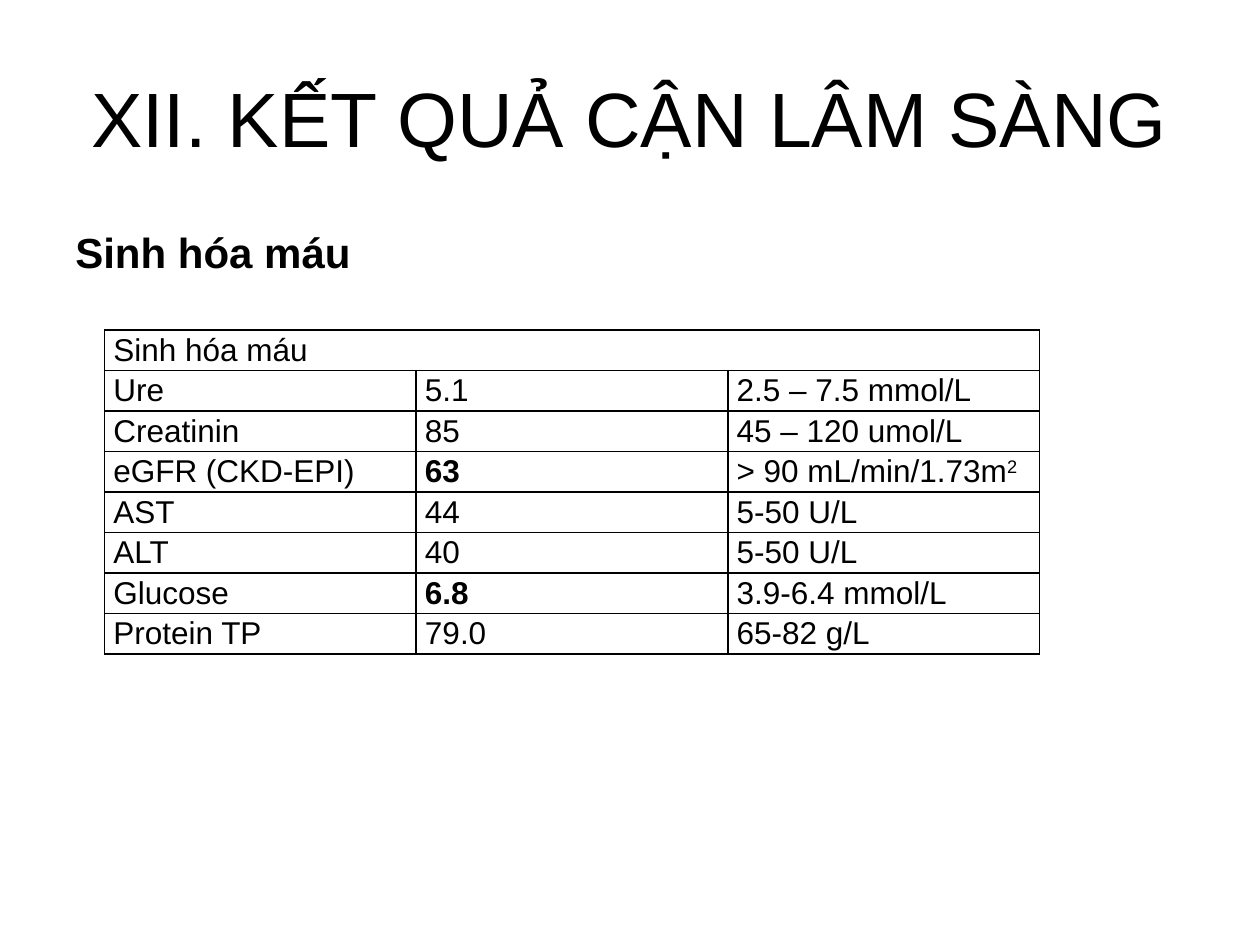
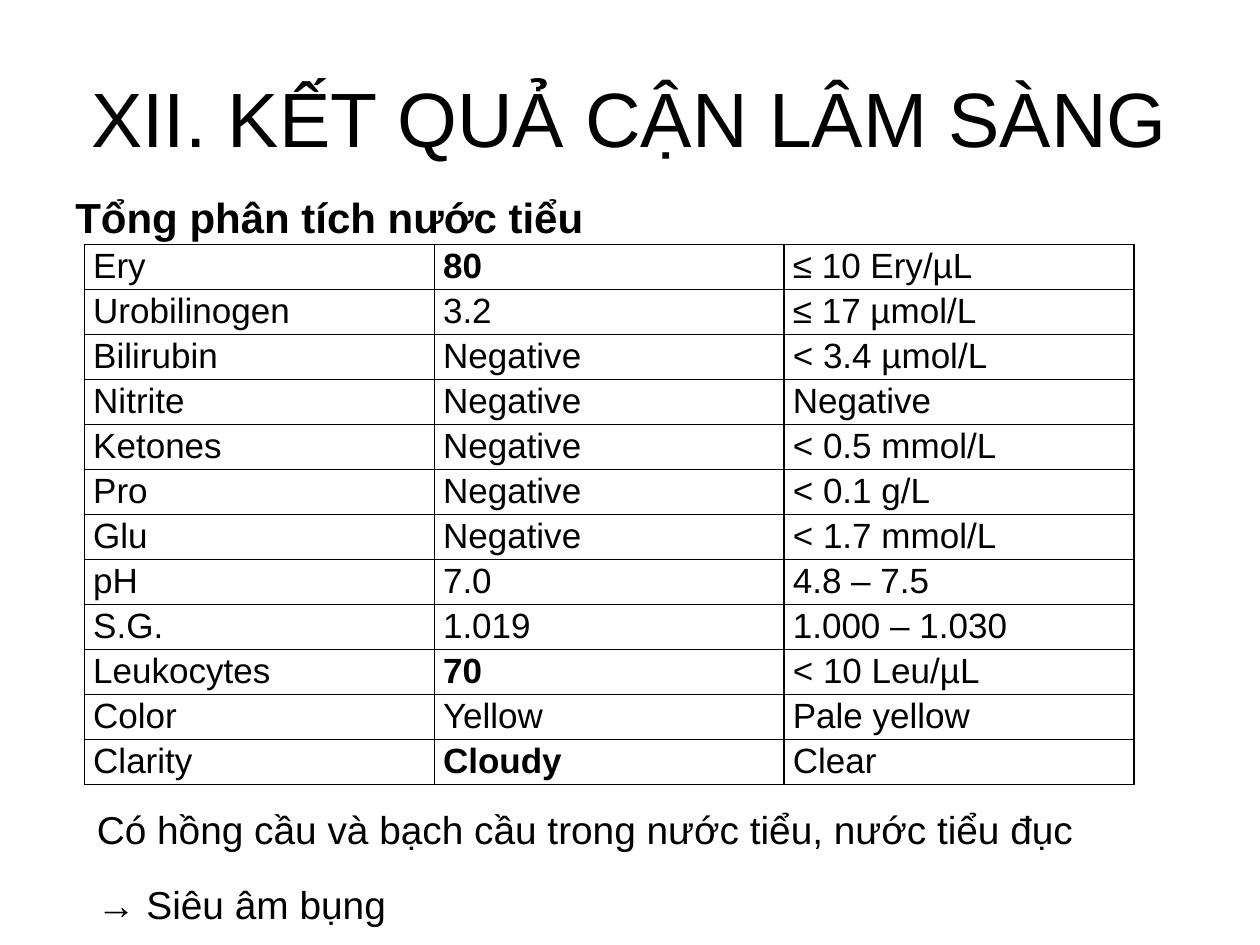
from dataclasses import dataclass
from lxml.etree import SubElement
from pptx import Presentation
from pptx.dml.color import RGBColor
from pptx.enum.text import MSO_ANCHOR, PP_ALIGN
from pptx.oxml.ns import qn
from pptx.util import Inches, Pt


@dataclass(frozen=True)
class Theme:
    font: str = "Arial"
    ink: str = "000000"
    paper: str = "FFFFFF"
    title: float = 44
    heading: float = 24
    note: float = 22.2
    border: float = 1
    columns: int = 40
    rows: int = 30


THEME = Theme()
TITLE = "XII. KẾT QUẢ CẬN LÂM SÀNG"
BLOOD = [
    ("Sinh hóa máu",),
    ("Ure", "5.1", "2.5 – 7.5 mmol/L"),
    ("Creatinin", "85", "45 – 120 umol/L"),
    ("eGFR (CKD-EPI)", "*63", "> 90 mL/min/1.73m^2"),
    ("AST", "44", "5-50 U/L"),
    ("ALT", "40", "5-50 U/L"),
    ("Glucose", "*6.8", "3.9-6.4 mmol/L"),
    ("Protein TP", "79.0", "65-82 g/L"),
]
URINE = [
    ("Ery", "*80", "≤ 10 Ery/µL"),
    ("Urobilinogen", "3.2", "≤ 17 µmol/L"),
    ("Bilirubin", "Negative", "< 3.4 µmol/L"),
    ("Nitrite", "Negative", "Negative"),
    ("Ketones", "Negative", "< 0.5 mmol/L"),
    ("Pro", "Negative", "< 0.1 g/L"),
    ("Glu", "Negative", "< 1.7 mmol/L"),
    ("pH", "7.0", "4.8 – 7.5"),
    ("S.G.", "1.019", "1.000 – 1.030"),
    ("Leukocytes", "*70", "< 10 Leu/µL"),
    ("Color", "Yellow", "Pale yellow"),
    ("Clarity", "*Cloudy", "Clear"),
]
NOTES = ["Có hồng cầu và bạch cầu trong nước tiểu, nước tiểu đục", "→ Siêu âm bụng"]


def write(frame, text, size, bold=False, align=PP_ALIGN.LEFT, spacing=1, before=0, after=0):
    for index, line in enumerate(text.split("\n")):
        para = frame.add_paragraph() if index else frame.paragraphs[0]
        para.alignment = align
        para.line_spacing = spacing
        para.space_before = Pt(before if index else 0)
        para.space_after = Pt(after)
        for level, part in enumerate(line.lstrip("*").split("^")):
            span = para.add_run()
            span.text = part
            span.font.name = THEME.font
            span.font.size = Pt(size)
            span.font.bold = bold or line.startswith("*")
            span.font.color.rgb = RGBColor.from_string(THEME.ink)
            if level:
                span.font._element.set("baseline", "30000")


class Report:
    def __init__(self, theme):
        self.theme = theme
        self.deck = Presentation()
        self.deck.slide_width = Inches(10)
        self.deck.slide_height = Inches(7.5)
        self.page = None

    def across(self, columns):
        return round(self.deck.slide_width * columns / self.theme.columns)

    def down(self, rows):
        return round(self.deck.slide_height * rows / self.theme.rows)

    def area(self, left, top, width, height):
        return self.across(left), self.down(top), self.across(width), self.down(height)

    def start_page(self):
        self.page = self.deck.slides.add_slide(self.deck.slide_layouts[6])
        fill = self.page.background.fill
        fill.solid()
        fill.fore_color.rgb = RGBColor.from_string(self.theme.paper)
        self.text(TITLE, (2, 1.2, 36, 5), anchor=MSO_ANCHOR.MIDDLE,
                  size=self.theme.title, align=PP_ALIGN.CENTER)

    def text(self, text, area, anchor=MSO_ANCHOR.TOP, **style):
        frame = self.page.shapes.add_textbox(*self.area(*area)).text_frame
        frame.word_wrap = True
        frame.vertical_anchor = anchor
        write(frame, text, **style)

    def heading(self, text, top, height):
        self.text(text, (2, top, 36, height), size=self.theme.heading, bold=True)

    def results(self, records, left, top, width, row_height, size):
        area = self.area(left, top, width, row_height * len(records))
        table = self.page.shapes.add_table(len(records), 3, *area).table
        table.first_row = table.horz_banding = False
        for column in table.columns:
            column.width = self.across(width / 3)
        for index, record in enumerate(records):
            table.rows[index].height = self.down(row_height)
            if len(record) == 1:
                table.cell(index, 0).merge(table.cell(index, 2))
            for place in range(3):
                cell = table.cell(index, place)
                self.border(cell)
                cell.fill.background()
                cell.margin_left = cell.margin_right = Inches(0.07)
                cell.margin_top = cell.margin_bottom = 0
                if place < len(record):
                    write(cell.text_frame, record[place], size, spacing=1.07, after=8)

    def border(self, cell):
        properties = cell._tc.get_or_add_tcPr()
        for side in ("lnL", "lnR", "lnT", "lnB"):
            line = SubElement(properties, qn(f"a:{side}"), w=str(Pt(self.theme.border)))
            fill = SubElement(line, qn("a:solidFill"))
            SubElement(fill, qn("a:srgbClr"), val=self.theme.ink)


def main():
    report = Report(THEME)

    report.start_page()
    report.heading("Sinh hóa máu", top=7, height=19.8)
    report.results(BLOOD, left=3.32, top=10.48, width=29.68, row_height=1.23, size=18)

    report.start_page()
    report.heading("Tổng phân tích nước tiểu", top=5.88, height=21.8)
    report.results(URINE, left=2.68, top=7.76, width=33.32, row_height=1.33, size=20)
    report.text("\n".join(NOTES), (2.68, 25.32, 34.68, 4.32), size=THEME.note,
                align=PP_ALIGN.JUSTIFY, spacing=1.05, before=4.4, after=10)

    report.deck.save("out.pptx")


if __name__ == "__main__":
    main()
